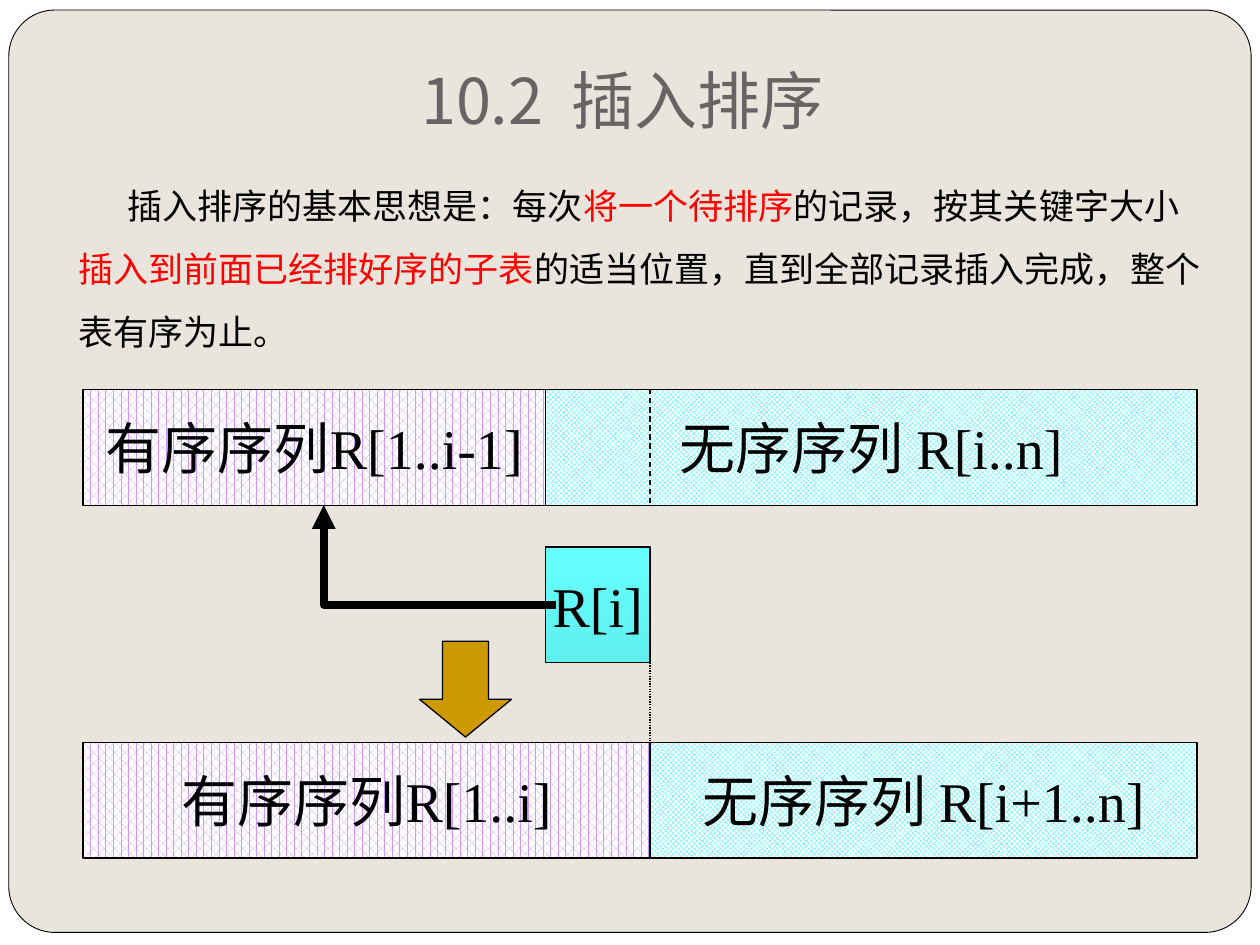
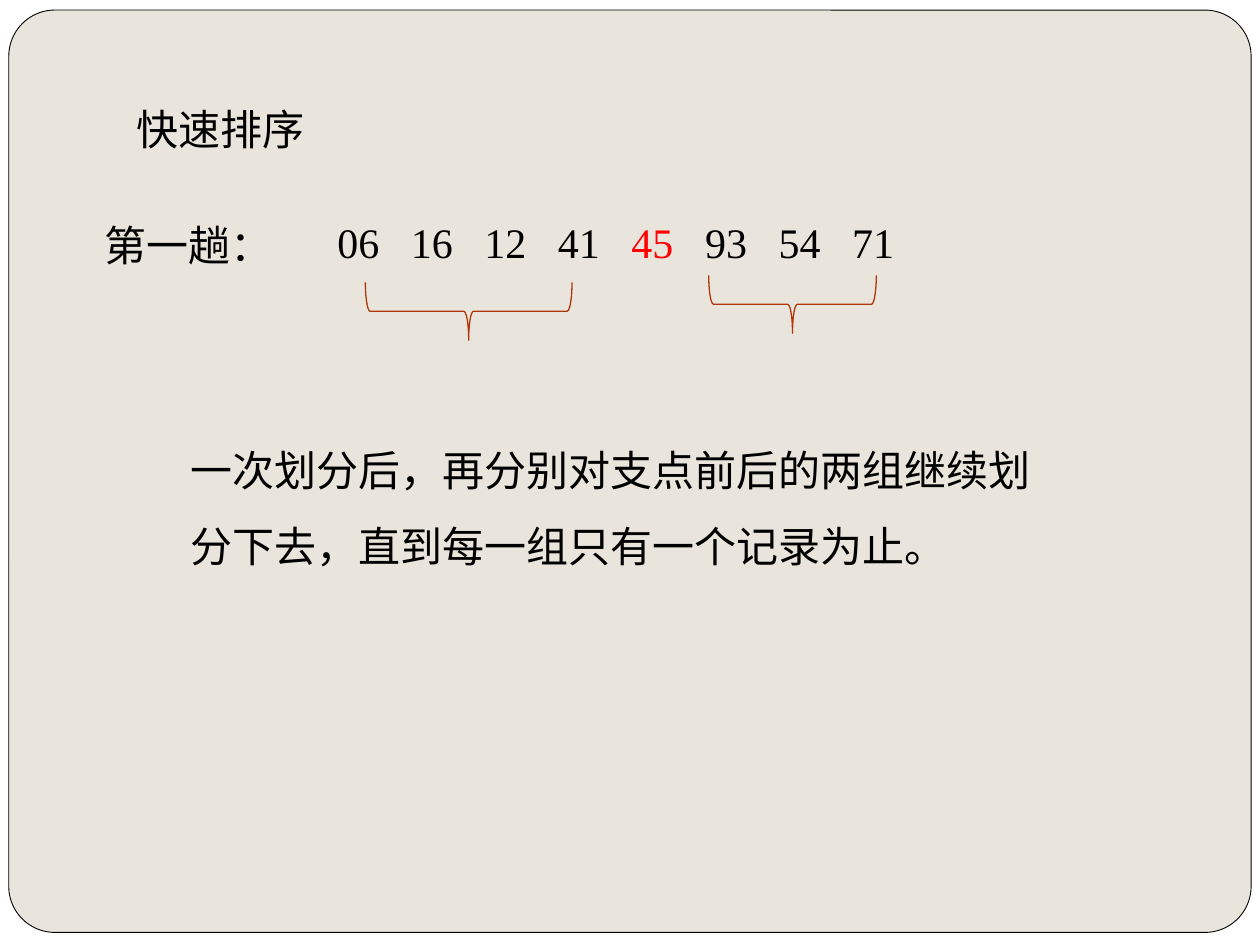
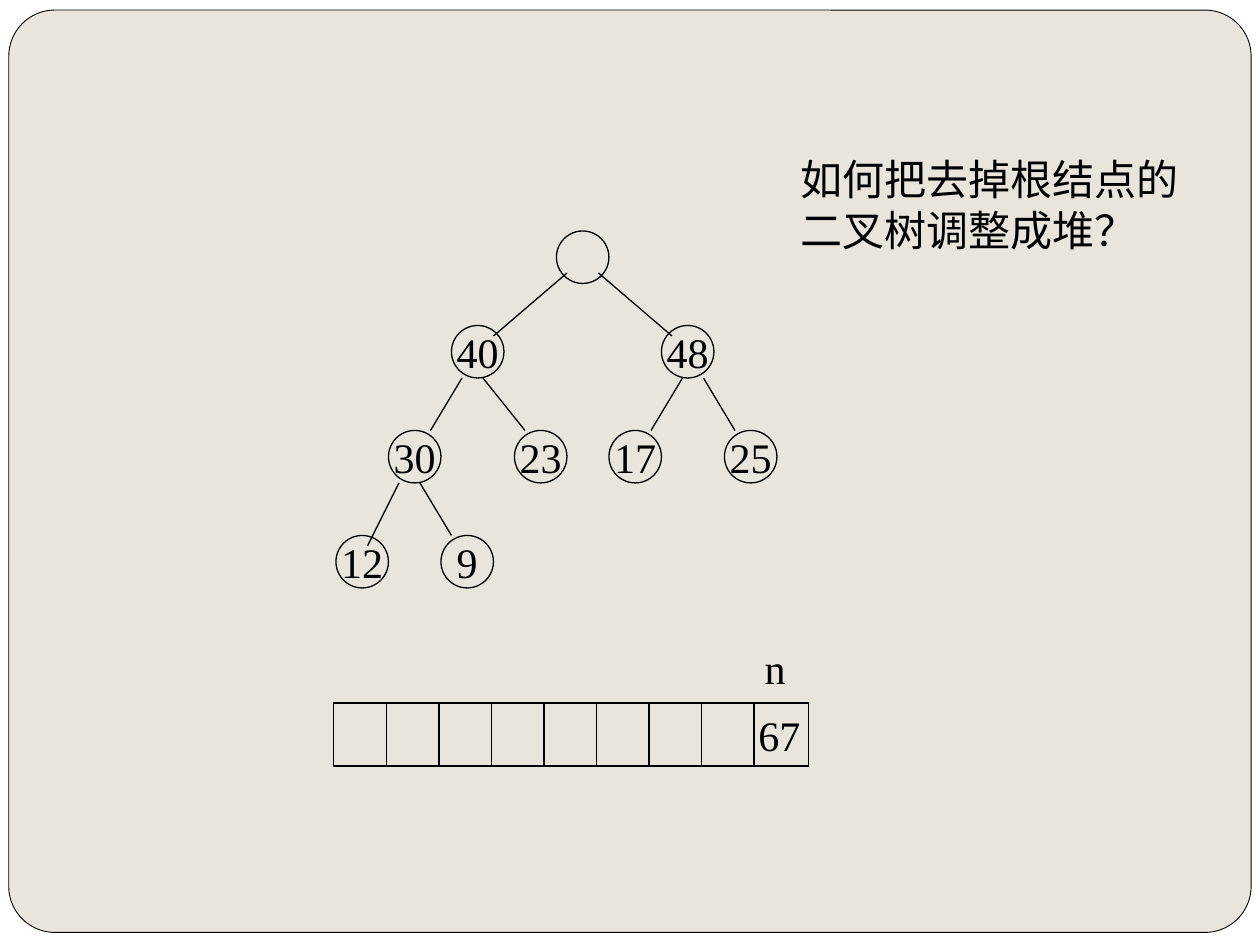
from lxml.etree import SubElement
from pptx import Presentation
from pptx.dml.color import RGBColor
from pptx.enum.dml import MSO_LINE_DASH_STYLE as Dash, MSO_PATTERN_TYPE as Pattern
from pptx.enum.shapes import MSO_CONNECTOR as Link, MSO_SHAPE as Shape
from pptx.enum.text import MSO_ANCHOR as Anchor, MSO_AUTO_SIZE as AutoSize, PP_ALIGN as Align
from pptx.oxml.ns import qn
from pptx.util import Inches, Pt

COLORS = {
    "paper": "E9E5DC", "white": "FFFFFF", "ink": "000000", "title": "696464",
    "accent": "FF0000", "sorted": "CC99FF", "unsorted": "00FFFF",
    "record_top": "66FFFF", "record_end": "60F0F0", "arrow": "CC9900", "brace": "B1360B",
}
SANS, SERIF = "Noto Sans CJK SC", "Times New Roman"
PATTERNS = {"sorted": Pattern.PERCENT_60, "unsorted": Pattern.TRELLIS}

INSERTION_TITLE = "10.2  插入排序"
INSERTION_IDEA = [
    ("插入排序的基本思想是：每次", "ink"),
    ("将一个待排序", "accent"),
    ("的记录，按其关键字大小", "ink"),
    ("插入到前面已经排好序的子表", "accent"),
    ("的适当位置，直到全部记录插入完成，整个表有序为止。", "ink"),
]
LEFT, RECORD_LEFT, RECORD_RIGHT, RIGHT = 0.66, 4.33, 5.16, 9.5
BEFORE_TOP, RECORD_TOP, AFTER_TOP, BAR_HEIGHT = 3.09, 4.34, 5.89, 0.92
BARS = [
    ("有序序列R[1..i-1]", "sorted", LEFT, RECORD_LEFT, BEFORE_TOP),
    ("无序序列 R[i..n]", "unsorted", RECORD_LEFT, RIGHT, BEFORE_TOP),
    ("有序序列R[1..i]", "sorted", LEFT, RECORD_RIGHT, AFTER_TOP),
    ("无序序列 R[i+1..n]", "unsorted", RECORD_RIGHT, RIGHT, AFTER_TOP),
]

QUICK_TITLE = "快速排序"
PASS_LABEL = "第一趟："
PASS_KEYS = ["06", "16", "12", "41", "45", "93", "54", "71"]
PIVOT, KEY_SPACING = "45", 12
QUICK_NOTE = "一次划分后，再分别对支点前后的两组继续划分下去，直到每一组只有一个记录为止。"
BRACES = [(3.49, 1.65, 1.64), (6.06, 1.75, 1.33)]

HEAP_QUESTION = ["如何把去掉根结点的", "二叉树调整成堆？"]
UNIT, NODE_SIZE = 1 / 12, 5
NODES = [
    ("", 53, 22), ("40", 43, 31), ("48", 63, 31), ("30", 37, 41), ("23", 49, 41),
    ("17", 58, 41), ("25", 69, 41), ("12", 32, 51), ("9", 42, 51),
]
EDGES = [
    (54, 26, 47, 32), (57, 26, 64, 32), (44, 36, 41, 41), (46, 36, 50, 41),
    (65, 36, 62, 41), (67, 36, 70, 41), (38, 46, 35, 52), (40, 46, 43, 51),
]
CELLS, CELL_WIDTH = 9, NODE_SIZE * UNIT
ARRAY_LEFT, ARRAY_TOP, ARRAY_WIDTH, ARRAY_HEIGHT = 2.65, 5.58, 3.77, 0.5


def color(name):
    return RGBColor.from_string(COLORS[name])


def style_line(item, name="ink", width=0.75):
    item.line.color.rgb = color(name)
    item.line.width = Pt(width)


def write(item, paragraphs, size=24, font=SERIF, align=Align.LEFT, anchor=Anchor.TOP,
          spacing=1, wrap=True, indent=0):
    frame = item.text_frame
    frame.auto_size = AutoSize.NONE
    frame.word_wrap = wrap
    frame.vertical_anchor = anchor
    for number, content in enumerate(paragraphs):
        para = frame.add_paragraph() if number else frame.paragraphs[0]
        para.alignment, para.line_spacing, para.space_before = align, spacing, Pt(0)
        properties = para._p.get_or_add_pPr()
        properties.set("marL", "0")
        properties.set("indent", str(Inches(indent)))
        SubElement(properties, qn("a:buNone"))
        for text, name in [(content, "ink")] if isinstance(content, str) else content:
            span = para.add_run()
            span.text = text
            span.font.size, span.font.name = Pt(size), font
            span.font.color.rgb = color(name)
            SubElement(span._r.get_or_add_rPr(), qn("a:ea"), typeface=SANS)


def place(item, left, top, width, height):
    item.left, item.top, item.width, item.height = map(Inches, (left, top, width, height))
    return item


def add_label(page, box, paragraphs, **options):
    label = page.shapes.add_textbox(*map(Inches, box))
    write(label, paragraphs, **options)
    return label


def add_figure(page, kind, box, fill=None, line="ink", width=0.75, text=None, size=24):
    figure = page.shapes.add_shape(kind, *map(Inches, box))
    figure.shadow.inherit = False
    if fill in PATTERNS:
        figure.fill.patterned()
        figure.fill.pattern = PATTERNS[fill]
        figure.fill.fore_color.rgb = color(fill)
        figure.fill.back_color.rgb = color("white")
    elif fill:
        figure.fill.solid()
        figure.fill.fore_color.rgb = color(fill)
    else:
        figure.fill.background()
    if line:
        style_line(figure, line, width)
    else:
        figure.line.fill.background()
    if text:
        write(figure, [text], size, align=Align.CENTER, anchor=Anchor.MIDDLE, wrap=False)
    return figure


def add_line(page, ends, kind=Link.STRAIGHT, width=0.75, dash=None):
    link = page.shapes.add_connector(kind, *map(Inches, ends))
    style_line(link, width=width)
    if dash:
        link.line.dash_style = dash
    SubElement(link._element.spPr, qn("a:effectLst"))
    return link


def build_master(deck, page):
    master = deck.slide_master
    master.background.fill.solid()
    master.background.fill.fore_color.rgb = color("paper")
    backdrop = add_figure(page, Shape.RECTANGLE, (0, 0, 10, 7.5), "white", None)
    panel = add_figure(page, Shape.ROUNDED_RECTANGLE, (0.07, 0.08, 9.86, 7.32), "paper", width=0.5)
    panel.adjustments[0] = 0.05
    for position, layer in enumerate((backdrop, panel), start=2):
        master.shapes.element.insert(position, layer.element)


def build_insertion(page):
    title, body = page.placeholders
    write(place(title, 0.9, 0.44, 8.08, 0.71), [[(INSERTION_TITLE, "title")]], 36, SANS, Align.CENTER)
    write(place(body, 0.52, 1.24, 9.11, 1.61), [INSERTION_IDEA], 20, SANS,
          anchor=Anchor.MIDDLE, spacing=1.5, indent=0.39)
    for text, fill, start, end, top in BARS:
        add_figure(page, Shape.RECTANGLE, (start, top, end - start, BAR_HEIGHT), fill, text=text, size=32)
    record = add_figure(page, Shape.RECTANGLE,
                        (RECORD_LEFT, RECORD_TOP, RECORD_RIGHT - RECORD_LEFT, BAR_HEIGHT),
                        text="R[i]", size=32)
    record.fill.gradient()
    record.fill.gradient_angle = 270
    for stop, name in zip(record.fill.gradient_stops, ("record_top", "record_end")):
        stop.color.rgb = color(name)
    before_bottom = BEFORE_TOP + BAR_HEIGHT
    insert = add_line(page, (4.41, 4.8, 2.57, before_bottom), Link.ELBOW, 4.5)
    insert._element.spPr.find(qn("a:prstGeom")).set("prst", "bentConnector2")
    SubElement(insert.line._get_or_add_ln(), qn("a:tailEnd"), type="triangle")
    arrow = add_figure(page, Shape.DOWN_ARROW, (3.33, 5.09, 0.73, 0.76), "arrow")
    arrow.adjustments[1] = 0.41
    for top, bottom, dash in [(BEFORE_TOP, before_bottom, Dash.DASH),
                              (RECORD_TOP + BAR_HEIGHT, 6.76, Dash.ROUND_DOT)]:
        add_line(page, (RECORD_RIGHT, top, RECORD_RIGHT, bottom), dash=dash)


def build_quick(page):
    title, body = page.placeholders
    write(place(title, 0.98, 0.77, 1.7, 0.5), [QUICK_TITLE])
    write(place(body, 1.41, 3.28, 7.11, 1.31), [QUICK_NOTE], spacing=1.5)
    add_label(page, (0.73, 1.69, 1.53, 0.5), [PASS_LABEL], wrap=False)
    spans = []
    for key in PASS_KEYS:
        spans += [(key, "accent" if key == PIVOT else "ink"), (" ", "ink")]
    keys = add_label(page, (2.58, 1.67, 4.8, 0.5), [spans[:-1]])
    for gap in keys.text_frame.paragraphs[0].runs[1::2]:
        gap._r.get_or_add_rPr().set("spc", str(KEY_SPACING * 100))
    for left, top, span in BRACES:
        add_figure(page, Shape.LEFT_BRACE, (left, top, 0.46, span), line="brace").rotation = 270


def build_heap(page):
    write(place(page.shapes.title, 6.25, 1.17, 3.4, 0.9), HEAP_QUESTION)
    for text, column, row in NODES:
        box = [UNIT * part for part in (column, row, NODE_SIZE, NODE_SIZE)]
        add_figure(page, Shape.OVAL, box, text=text)
    for edge in EDGES:
        add_line(page, [UNIT * part for part in edge])
    add_figure(page, Shape.RECTANGLE, (ARRAY_LEFT, ARRAY_TOP, ARRAY_WIDTH, ARRAY_HEIGHT))
    for number in range(1, CELLS):
        divider = ARRAY_LEFT + number * CELL_WIDTH
        add_line(page, (divider, ARRAY_TOP, divider, ARRAY_TOP + ARRAY_HEIGHT))
    add_label(page, (5.92, ARRAY_TOP, 0.53, 0.5), ["67"], wrap=False)
    add_label(page, (5.97, 5.05, 0.37, 0.5), ["n"], wrap=False)


def main():
    deck = Presentation()
    deck.slide_width, deck.slide_height = Inches(10), Inches(7.5)
    content, title_only = deck.slide_layouts[1], deck.slide_layouts[5]
    for layout, build in [(content, build_insertion), (content, build_quick), (title_only, build_heap)]:
        page = deck.slides.add_slide(layout)
        if build is build_insertion:
            build_master(deck, page)
        build(page)
    deck.save("out.pptx")


if __name__ == "__main__":
    main()
